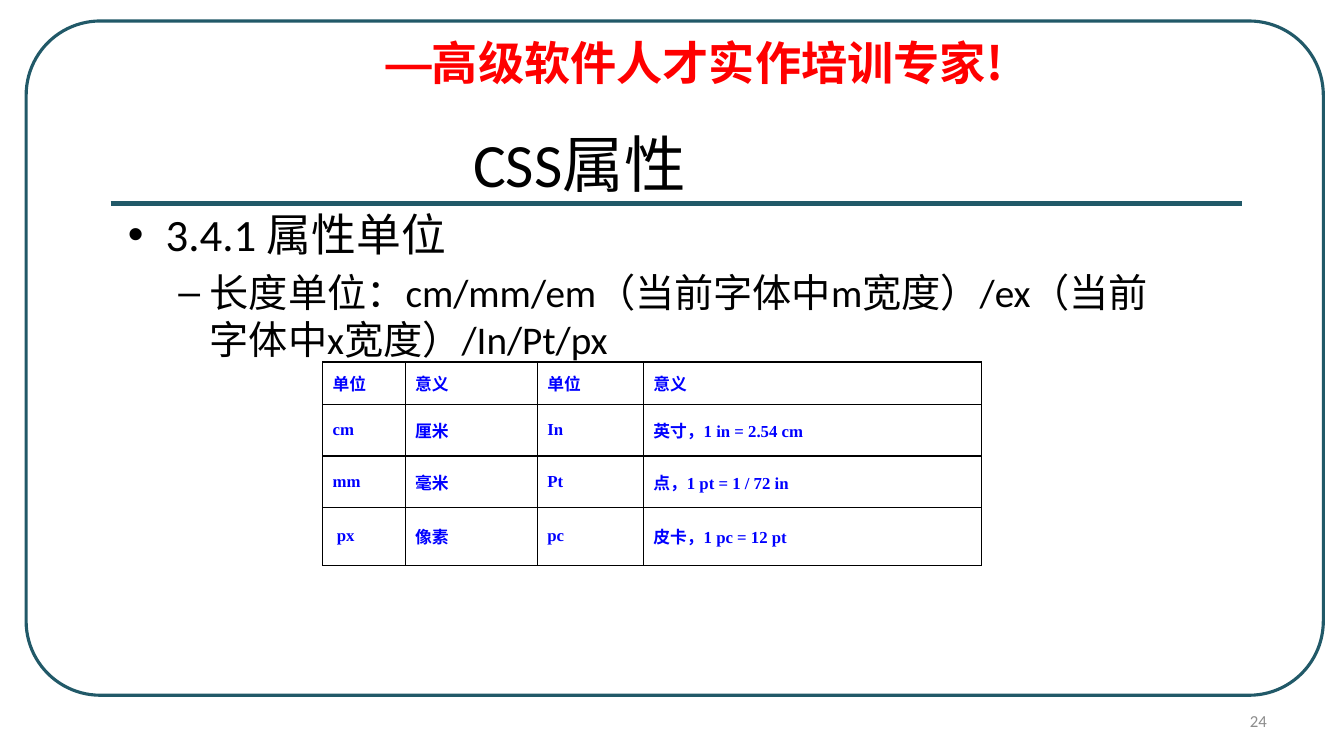
import dataclasses
import typing

import pptx
import pptx.dml.color
import pptx.enum.shapes
import pptx.enum.text
import pptx.oxml
import pptx.oxml.ns
import pptx.util

Cm = pptx.util.Cm
Pt = pptx.util.Pt
RGBColor = pptx.dml.color.RGBColor
PP_ALIGN = pptx.enum.text.PP_ALIGN
MSO_ANCHOR = pptx.enum.text.MSO_ANCHOR

TEAL = RGBColor(0x21, 0x59, 0x68)
RED = RGBColor(0xFF, 0x00, 0x00)
GRAY = RGBColor(0x8C, 0x8C, 0x8C)
BLACK = RGBColor(0x00, 0x00, 0x00)
BLUE = RGBColor(0x00, 0x00, 0xFF)
CJK = "Noto Sans CJK SC"


@dataclasses.dataclass
class Box:
    left: float
    top: float
    width: float
    height: float

    def emu(self) -> list[int]:
        return [Cm(v) for v in (self.left, self.top, self.width, self.height)]


@dataclasses.dataclass
class Style:
    font: dict[str, typing.Any]
    color: RGBColor
    east_asian: str = CJK


@dataclasses.dataclass
class Label:
    box: Box
    runs: list[tuple[str, Style]]
    paragraph: dict[str, typing.Any]
    anchor: MSO_ANCHOR


def set_all(target: typing.Any, values: dict[str, typing.Any]) -> None:
    for name, value in values.items():
        setattr(target, name, value)


def add_run(p: typing.Any, text: str, style: Style) -> None:
    r = p.add_run()
    r.text = text
    set_all(r.font, style.font)
    r.font.color.rgb = style.color
    ea = r.font._element.makeelement(pptx.oxml.ns.qn("a:ea"), {"typeface": style.east_asian})
    r.font._element.find(pptx.oxml.ns.qn("a:latin")).addnext(ea)


def add_label(s: typing.Any, label: Label) -> None:
    tf = s.shapes.add_textbox(*label.box.emu()).text_frame
    set_all(tf, {"word_wrap": True, "vertical_anchor": label.anchor})
    p = tf.paragraphs[0]
    set_all(p, label.paragraph)
    for text, style in label.runs:
        add_run(p, text, style)


def fill_placeholder(sp: typing.Any, box: Box, lines: list[tuple[str, int]]) -> None:
    """Place a placeholder and write one paragraph per (text, size); levels go down by one."""
    set_all(sp, dict(zip(("left", "top", "width", "height"), box.emu())))
    tf = sp.text_frame
    set_all(tf, {"word_wrap": True, "vertical_anchor": MSO_ANCHOR.TOP,
                 "auto_size": pptx.enum.text.MSO_AUTO_SIZE.NONE})
    for level, (text, size) in enumerate(lines):
        p = tf.add_paragraph() if level else tf.paragraphs[0]
        p.level = level
        add_run(p, text, Style({"name": "Calibri", "size": Pt(size)}, BLACK))


def add_borders(cell: typing.Any) -> None:
    tc_pr = cell._tc.get_or_add_tcPr()
    for side in ("lnL", "lnR", "lnT", "lnB"):
        tc_pr.append(pptx.oxml.parse_xml(
            f'<a:{side} {pptx.oxml.ns.nsdecls("a")} w="{Pt(1)}"><a:solidFill>'
            f'<a:srgbClr val="{BLACK}"/></a:solidFill></a:{side}>'))


def add_unit_table(s: typing.Any, box: Box, widths: list[float], heights: list[float],
                   rows: list[list[str]], style: Style) -> None:
    table = s.shapes.add_table(len(rows), len(widths), *box.emu()).table
    set_all(table, {"first_row": False, "horz_banding": False})
    for column, width in zip(table.columns, widths):
        column.width = Cm(width)
    for row, height, texts in zip(table.rows, heights, rows):
        row.height = Cm(height)
        for cell, text in zip(row.cells, texts):
            cell.vertical_anchor = MSO_ANCHOR.MIDDLE
            add_borders(cell)
            cell.fill.background()
            add_run(cell.text_frame.paragraphs[0], text, style)


def add_frame(s: typing.Any, box: Box) -> None:
    sp = s.shapes.add_shape(pptx.enum.shapes.MSO_SHAPE.ROUNDED_RECTANGLE, *box.emu())
    sp.adjustments[0] = 0.11
    sp.shadow.inherit = False
    sp.fill.background()
    sp.line.color.rgb = TEAL
    sp.line.width = Pt(2.25)


def add_rule(s: typing.Any, left: float, right: float, y: float) -> None:
    line = s.shapes.add_connector(pptx.enum.shapes.MSO_CONNECTOR.STRAIGHT,
                                  Cm(left), Cm(y), Cm(right), Cm(y))
    line.line.color.rgb = TEAL
    line.line.width = Pt(3)
    sp_pr = line._element.spPr
    sp_pr.append(sp_pr.makeelement(pptx.oxml.ns.qn("a:effectLst"), {}))


BANNER = Label(
    Box(9.47, 0.91, 21.34, 1.52),
    [("—", Style({"name": "Montserrat", "size": Pt(33), "bold": True}, RED, "Montserrat")),
     ("高级软件人才实作培训专家!", Style({"name": CJK, "size": Pt(33), "bold": True}, RED))],
    {"line_spacing": 0.9, "space_before": Pt(6.6)}, MSO_ANCHOR.TOP)
PAGE_NUMBER = Label(
    Box(24.28, 17.65, 7.9, 1.02),
    [("24", Style({"name": "Calibri", "size": Pt(12)}, GRAY))],
    {"alignment": PP_ALIGN.RIGHT}, MSO_ANCHOR.MIDDLE)
UNITS = [
    ["单位", "意义", "单位", "意义"],
    ["cm", "厘米", "In", "英寸，1 in = 2.54 cm"],
    ["mm", "毫米", "Pt", "点，1 pt = 1 / 72 in"],
    [" px", "像素", "pc", "皮卡，1 pc = 12 pt"],
]


def main() -> None:
    prs = pptx.Presentation()
    prs.slide_width, prs.slide_height = Cm(33.87), Cm(19.05)
    s = prs.slides.add_slide(prs.slide_layouts[1])

    # Frame, rule and banner
    add_frame(s, Box(0.66, 0.53, 32.69, 16.99))
    add_rule(s, 2.79, 31.29, 5.13)
    for label in (BANNER, PAGE_NUMBER):
        add_label(s, label)

    # Title and list
    fill_placeholder(s.shapes.title, Box(0, 3.05, 29.21, 1.65), [("CSS属性", 44)])
    fill_placeholder(s.placeholders[1], Box(2.97, 5.08, 26.24, 12.09), [
        ("3.4.1 属性单位", 32),
        ("长度单位：cm/mm/em（当前字体中m宽度）/ex（当前字体中x宽度）/In/Pt/px", 28)])

    # Table of units
    add_unit_table(s, Box(8.13, 9.12, 16.61, 5.12), [2.08, 3.33, 2.67, 8.53],
                   [1.07, 1.3, 1.3, 1.45], UNITS,
                   Style({"name": "Times New Roman", "size": Pt(12), "bold": True}, BLUE))

    prs.save("out.pptx")


if __name__ == "__main__":
    main()
